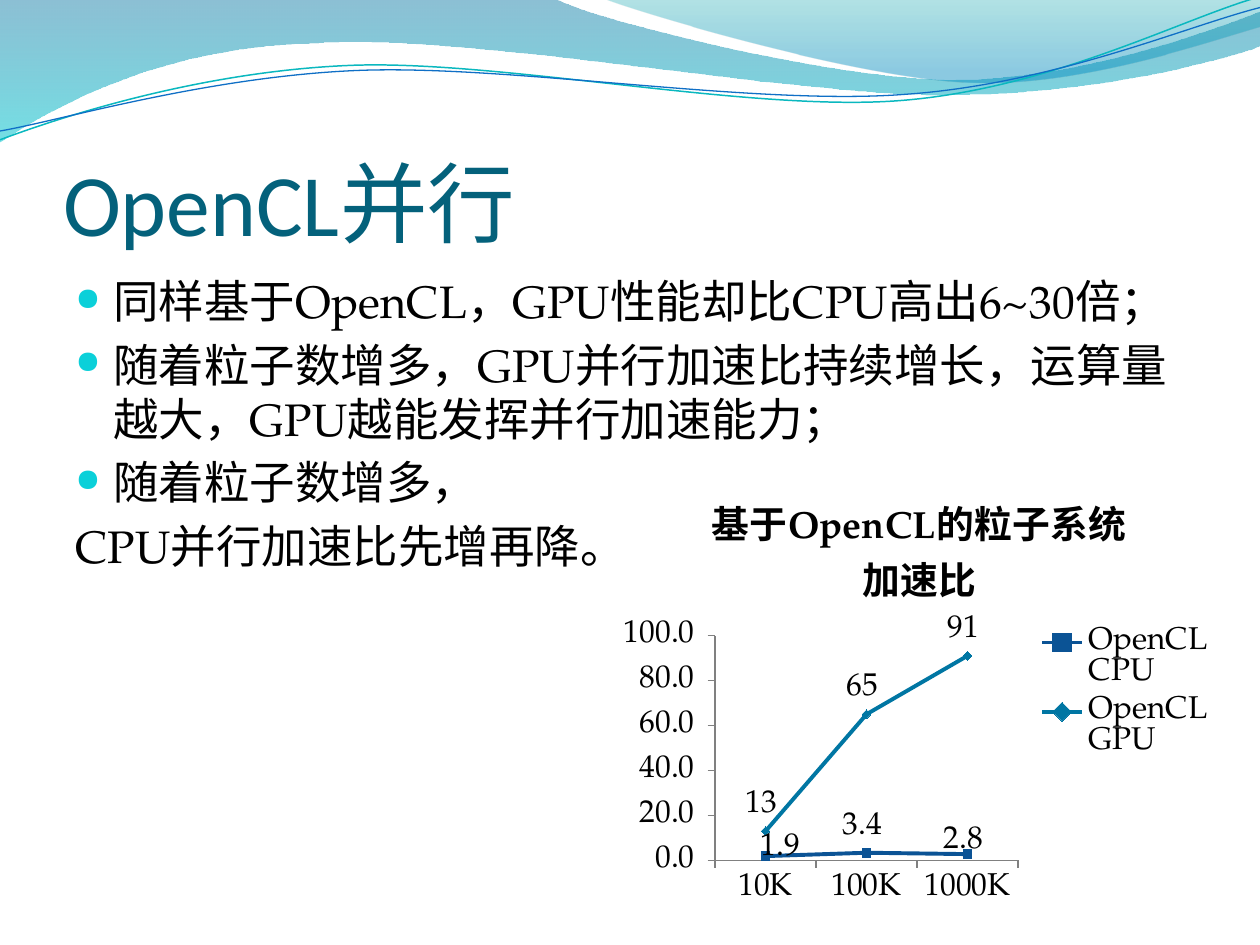
from lxml.etree import SubElement
from pptx import Presentation
from pptx.chart.data import CategoryChartData
from pptx.dml.color import RGBColor
from pptx.enum.chart import (XL_CHART_TYPE, XL_LABEL_POSITION, XL_LEGEND_POSITION,
                             XL_MARKER_STYLE, XL_TICK_MARK)
from pptx.enum.text import MSO_ANCHOR, PP_ALIGN
from pptx.oxml.ns import qn
from pptx.util import Inches, Pt

SERIF, SANS = "TeX Gyre Pagella", "Calibri"
BLACK = "000000"
UNITS = 1000  # outline units per inch

# Each wave: start point, then lines (one point) and Bézier curves (three points).
UPPER_WAVE = [(0, 0), [(4.4, -0.01)], [(4.76, 0.17), (6.64, 0.63), (7.58, 0.63)],
              [(8.53, 0.63), (9.58, 0.26), (10, 0.09)], [(10.01, 0.36)],
              [(9.83, 0.44), (8.7, 0.76), (7.46, 0.75)],
              [(6.22, 0.75), (3.82, 0.28), (2.57, 0.34)],
              [(1.29, 0.36), (0.46, 0.83), (-0.01, 1.13)], [(0, 0)]]
RIGHT_WAVE = [(4.79, -0.01), [(5.09, 0.11), (6.82, 0.62), (7.69, 0.65)],
              [(8.56, 0.69), (9.61, 0.32), (10, 0.21)], [(10, 0)], [(4.79, -0.01)]]
TEAL_LINE = [(0, 1.11), [(0.48, 0.93), (1.58, 0.57), (2.77, 0.52)],
             [(3.95, 0.47), (5.93, 0.89), (7.13, 0.8)],
             [(8.33, 0.71), (9.38, 0.15), (9.98, -0.02)]]
BLUE_LINE = [(0, 1.04), [(0.47, 0.96), (1.64, 0.61), (2.83, 0.56)],
             [(4.03, 0.51), (5.97, 0.84), (7.17, 0.75)],
             [(8.36, 0.67), (9.41, 0.21), (10, 0.06)]]

BULLETS = ["同样基于OpenCL，GPU性能却比CPU高出6~30倍；",
           "随着粒子数增多，GPU并行加速比持续增长，运算量越大，GPU越能发挥并行加速能力；",
           "随着粒子数增多，"]
CLOSING = "CPU并行加速比先增再降。"


def color(value):
    return RGBColor.from_string(value)


def set_font(font, name=SERIF, size=18, fill=BLACK, bold=False):
    font.name, font.size, font.bold = name, Pt(size), bold
    font.color.rgb = color(fill)


def add_wave(page, wave, closed):
    """Build the outline from straight lines, then join control points into curves."""
    start, *segments = wave
    builder = page.shapes.build_freeform(start[0] * UNITS, start[1] * UNITS,
                                         scale=Inches(1) / UNITS)
    builder.add_line_segments([(x * UNITS, y * UNITS) for segment in segments
                               for x, y in segment], close=closed)
    shape = builder.convert_to_shape()
    shape.shadow.inherit = False
    lines = iter(list(shape._element.spPr.iter(qn("a:lnTo"))))
    for segment in segments:
        first, *others = [next(lines) for _ in segment]
        if others:
            curve = first.makeelement(qn("a:cubicBezTo"))
            first.addprevious(curve)
            for line in (first, *others):
                curve.append(line[0])
                line.getparent().remove(line)
    return shape


def add_wave_fill(page, wave, stops):
    """Draw a closed wave; stops are (position, colour, opacity in percent)."""
    shape = add_wave(page, wave, True)
    shape.line.fill.background()
    shape.fill.gradient()
    shape.fill.gradient_angle = 270
    for stop, (position, value, _) in zip(shape.fill.gradient_stops, stops):
        stop.position = position
        stop.color.rgb = color(value)
    for element, (_, _, opacity) in zip(shape._element.spPr.iter(qn("a:srgbClr")), stops):
        SubElement(element, qn("a:alpha"), val=str(opacity * 1000))


def add_wave_line(page, wave, value, width):
    shape = add_wave(page, wave, False)
    shape.fill.background()
    shape.line.color.rgb = color(value)
    shape.line.width = Pt(width)


def add_title(page, text):
    title = page.shapes.title
    title.left, title.top, title.width, title.height = map(Inches, (0.5, 0.77, 9, 1.25))
    frame = title.text_frame
    frame.margin_left = frame.margin_right = frame.margin_bottom = 0
    frame.vertical_anchor = MSO_ANCHOR.BOTTOM
    frame.text = text
    para = frame.paragraphs[0]
    para.alignment = PP_ALIGN.LEFT
    set_font(para.runs[0].font, SANS, 50, "04617B")


def add_bullet(para):
    properties = para._p.get_or_add_pPr()
    tint = SubElement(properties, qn("a:buClr"))
    SubElement(tint, qn("a:srgbClr"), val="0BD0D9")
    SubElement(properties, qn("a:buSzPct"), val="70000")
    SubElement(properties, qn("a:buChar"), char="●")


def add_body(page):
    box = page.shapes.add_textbox(*map(Inches, (0.5, 2.12, 9, 4.8)))
    frame = box.text_frame
    frame.word_wrap = True
    for index, text in enumerate([*BULLETS, CLOSING]):
        para = frame.add_paragraph() if index else frame.paragraphs[0]
        if index:
            para.space_before = Pt(5)
        properties = para._p.get_or_add_pPr()
        properties.set("marL", str(Inches(0.3)))
        properties.set("indent", str(-Inches(0.3)))
        if text != CLOSING:
            add_bullet(para)
        span = para.add_run()
        span.text = text
        set_font(span.font, size=26)


def add_manual_layout(layout, **settings):
    manual = SubElement(layout, qn("c:manualLayout"))
    for name, value in settings.items():
        SubElement(manual, qn(f"c:{name}"), val=str(value))


def place_plot(chart, **shares):
    """Fix the inner plot area as shares of the chart's size."""
    plot_area = chart._chartSpace.chart.plotArea
    layout = plot_area.find(qn("c:layout"))
    if layout is None:
        layout = plot_area.makeelement(qn("c:layout"))
        plot_area.insert(0, layout)
    add_manual_layout(layout, layoutTarget="inner", xMode="edge", yMode="edge", **shares)


def shift_label(series, index, x, y):
    """Move one value label by shares of the chart's size."""
    label = series.points[index].data_label
    label.position = XL_LABEL_POSITION.ABOVE
    set_font(label.font)
    element = next(item for item in series._element.iter(qn("c:dLbl"))
                   if item.find(qn("c:idx")).get("val") == str(index))
    layout = element.makeelement(qn("c:layout"))
    element.find(qn("c:idx")).addnext(layout)
    add_manual_layout(layout, x=x, y=y)


def style_series(series, value, marker, number_format):
    series.smooth = False
    series.format.line.color.rgb = color(value)
    series.format.line.width = Pt(2.25)
    series.marker.style, series.marker.size = marker, 5
    series.marker.format.fill.solid()
    series.marker.format.fill.fore_color.rgb = color(value)
    series.marker.format.line.color.rgb = color(value)
    labels = series.data_labels
    labels.show_value = True
    labels.number_format, labels.number_format_is_linked = number_format, False
    labels.position = XL_LABEL_POSITION.ABOVE
    set_font(labels.font)


def add_speedup_chart(page):
    data = CategoryChartData()
    data.categories = ["10K", "100K", "1000K"]
    data.add_series("OpenCL\nCPU", [1.9, 3.4, 2.8])
    data.add_series("OpenCL\nGPU", [13, 65, 91])
    chart = page.shapes.add_chart(XL_CHART_TYPE.LINE_MARKERS,
                                  *map(Inches, (4.84, 3.75, 4.91, 3.5)), data).chart
    set_font(chart.font)
    title = chart.chart_title.text_frame
    title.text = "基于OpenCL的粒子系统\n加速比"
    for para in title.paragraphs:
        set_font(para.runs[0].font, size=21.6, bold=True)
    chart.has_legend = True
    chart.legend.position = XL_LEGEND_POSITION.RIGHT
    chart.legend.include_in_layout = False
    set_font(chart.legend.font)
    place_plot(chart, x=0.17, y=0.37, w=0.49, h=0.51)

    for axis in (chart.category_axis, chart.value_axis):
        axis.has_major_gridlines = False
        axis.major_tick_mark = XL_TICK_MARK.OUTSIDE
        axis.format.line.color.rgb = color("808080")
        set_font(axis.tick_labels.font)
    scale = chart.value_axis
    scale.minimum_scale, scale.maximum_scale, scale.major_unit = 0, 100, 20
    scale.tick_labels.number_format = "0.0_ "
    scale.tick_labels.number_format_is_linked = False

    plot = chart.plots[0]
    plot.vary_by_categories = False
    cpu, gpu = plot.series
    style_series(cpu, "0B5395", XL_MARKER_STYLE.SQUARE, "0.0_ ")
    style_series(gpu, "0076A3", XL_MARKER_STYLE.DIAMOND, "0_ ")
    shift_label(cpu, 0, 0.03, 0.04)
    shift_label(cpu, 2, 0, 0.03)


def main():
    deck = Presentation()
    deck.slide_width, deck.slide_height = Inches(10), Inches(7.5)
    page = deck.slides.add_slide(deck.slide_layouts[5])
    add_wave_fill(page, UPPER_WAVE, [(0, "0074A1", 45), (1, "00C6CF", 55)])
    add_wave_fill(page, RIGHT_WAVE, [(0, "00A1A9", 30), (0.8, "008BBF", 45)])
    add_wave_line(page, TEAL_LINE, "0AB8BF", 0.85)
    add_wave_line(page, BLUE_LINE, "0F6FC6", 0.75)
    add_title(page, "OpenCL并行")
    add_body(page)
    add_speedup_chart(page)
    deck.save("out.pptx")


if __name__ == "__main__":
    main()
